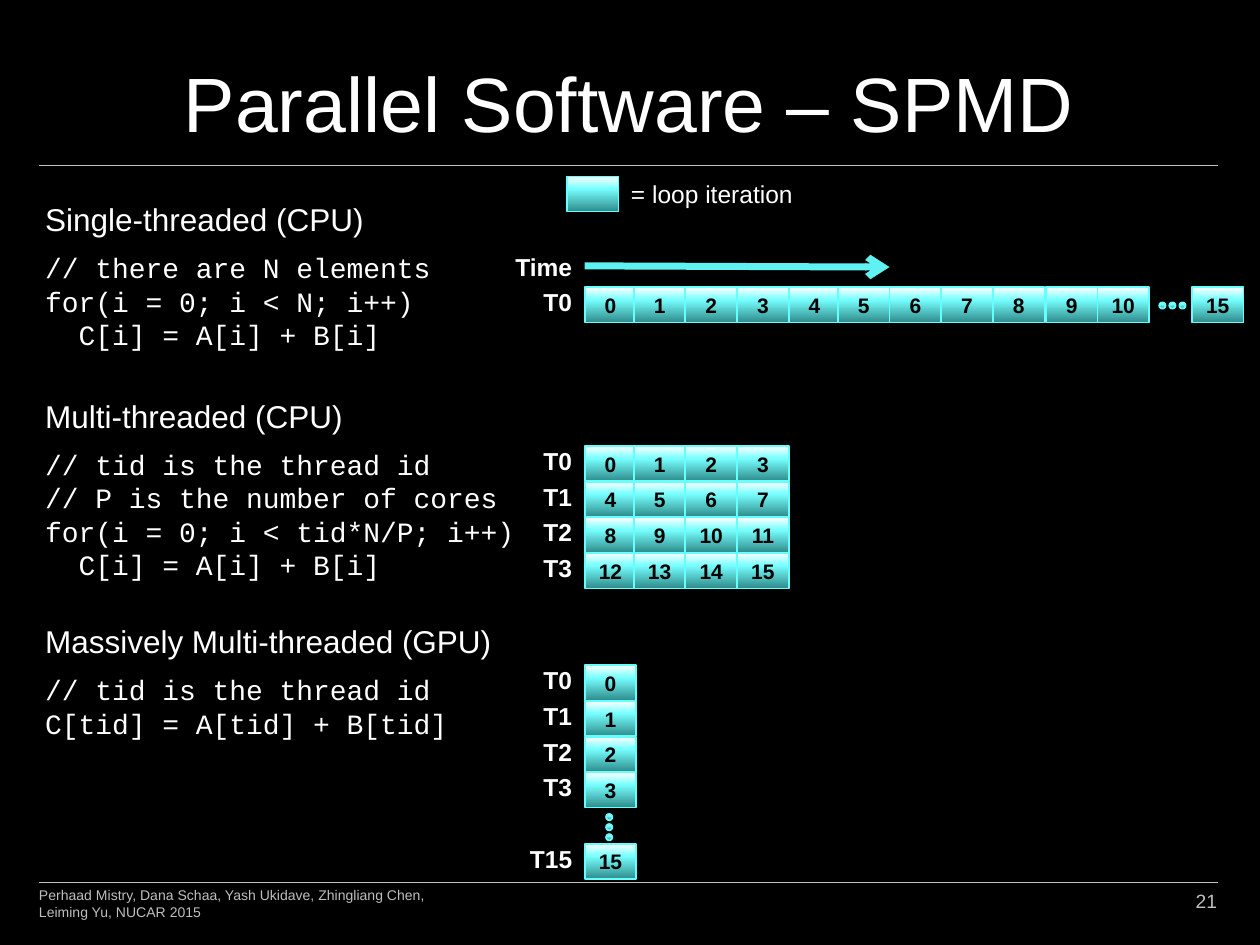
"""Build the SPMD slide: loop code beside diagrams of iterations per thread."""
from copy import deepcopy

from pptx import Presentation
from pptx.dml.color import RGBColor
from pptx.enum import shapes, text
from pptx.oxml import ns, xmlchemy
from pptx.util import Inches, Pt

BLACK = RGBColor(0x00, 0x00, 0x00)
WHITE = RGBColor(0xFF, 0xFF, 0xFF)
GRAY = RGBColor(0xBF, 0xBF, 0xBF)
CYAN = RGBColor(0x66, 0xFF, 0xFF)
GRADIENT = [(0, RGBColor(0x2E, 0x8B, 0x8B)), (0.65, RGBColor(0x78, 0xFF, 0xFF)), (1, WHITE)]

LEFT = 4.64
CELL_W, CELL_H = 0.41, 0.28
DOT, DOT_STEP = 0.05, 0.08
ROW_STEP = 0.85 / 3
COLUMNS = [4.64, 5.03, 5.44, 5.85, 6.26, 6.65, 7.06, 7.47, 7.88, 8.3, 8.71]
SERIAL_TOP, MULTI_TOP, MASSIVE_TOP = 2.28, 3.54, 5.28

prs = Presentation()
prs.slide_width, prs.slide_height = Inches(10), Inches(7.5)
s = prs.slides.add_slide(prs.slide_layouts[5])
s.background.fill.solid()
s.background.fill.fore_color.rgb = BLACK


def add_text(lines, x, y, w, h, size, font="Arial", color=WHITE, bold=False,
             align=text.PP_ALIGN.LEFT, wrap=False):
    """Add a text box with one paragraph per line and return its frame."""
    tf = s.shapes.add_textbox(Inches(x), Inches(y), Inches(w), Inches(h)).text_frame
    tf.word_wrap = wrap
    tf.text = "\n".join(lines)
    for p in tf.paragraphs:
        p.alignment = align
        p.font.size, p.font.name, p.font.bold = Pt(size), font, bold
        p.font.color.rgb = color
    return tf


def add_block(kind, x, y, w, h, label=""):
    """Add a cyan gradient shape, with a bold centred label if given."""
    sp = s.shapes.add_shape(kind, Inches(x), Inches(y), Inches(w), Inches(h))
    sp.shadow.inherit = False
    sp.line.color.rgb = CYAN
    sp.line.width = Pt(1)
    sp.fill.gradient()
    sp.fill.gradient_angle = 90
    stops = sp._element.spPr.find(ns.qn("a:gradFill")).find(ns.qn("a:gsLst"))
    stops.append(deepcopy(stops[0]))
    for stop, (position, color) in zip(sp.fill.gradient_stops, GRADIENT):
        stop.position = position
        stop.color.rgb = color
    if label:
        sp.text_frame.text = label
        sp.text_frame.vertical_anchor = text.MSO_ANCHOR.MIDDLE
        p = sp.text_frame.paragraphs[0]
        p.alignment = text.PP_ALIGN.CENTER
        p.font.size, p.font.name, p.font.bold = Pt(12), "Arial", True
        p.font.color.rgb = BLACK


title = s.shapes.title
title.left, title.top, title.width, title.height = map(Inches, (0.7, 0.12, 8.59, 1.1))
title.text_frame.text = "Parallel Software – SPMD"
title.text_frame.vertical_anchor = text.MSO_ANCHOR.BOTTOM
p = title.text_frame.paragraphs[0]
p.alignment = text.PP_ALIGN.CENTER
p.font.size, p.font.name = Pt(44), "Arial"
p.font.color.rgb = WHITE

for x1, y1, x2, y2, color, width in [
    (0.31, 1.31, 9.67, 1.31, GRAY, 0.25),
    (0.31, 7, 9.67, 7, GRAY, 0.25),
    (LEFT, 2.11, 7.06, 2.12, CYAN, 4),
]:
    line = s.shapes.add_connector(shapes.MSO_CONNECTOR.STRAIGHT, *map(Inches, (x1, y1, x2, y2)))
    line.line.color.rgb = color
    line.line.width = Pt(width)
    line._element.spPr.append(xmlchemy.OxmlElement("a:effectLst"))
ln = line.line._get_or_add_ln()
alpha = xmlchemy.OxmlElement("a:alpha")
alpha.set("val", "95000")
ln.find(ns.qn("a:solidFill"))[0].append(alpha)
tail = xmlchemy.OxmlElement("a:tailEnd")
tail.set("type", "arrow")
ln.append(tail)

credit = add_text(
    ["Perhaad Mistry, Dana Schaa, Yash Ukidave, Zhingliang Chen, Leiming Yu, NUCAR 2015"],
    0.31, 6.95, 3.17, 0.4, 8, color=GRAY, wrap=True)
credit.vertical_anchor = text.MSO_ANCHOR.BOTTOM
number = add_text(["21"], 8.83, 6.95, 0.83, 0.4, 11, color=GRAY,
                  align=text.PP_ALIGN.RIGHT, wrap=True)
number.vertical_anchor = text.MSO_ANCHOR.MIDDLE
for tf in (credit, number):
    tf.margin_left = tf.margin_right = 0

for heading, y, w, code_w, code in [
    ("Single-threaded (CPU)", 1.54, 2.76, 3.3,
     ["// there are N elements", "for(i = 0; i < N; i++)", "  C[i] = A[i] + B[i]"]),
    ("Multi-threaded (CPU)", 3.1, 2.59, 3.97,
     ["// tid is the thread id", "// P is the number of cores",
      "for(i = 0; i < tid*N/P; i++)", "  C[i] = A[i] + B[i]"]),
    ("Massively Multi-threaded (GPU)", 4.89, 3.78, 3.43,
     ["// tid is the thread id", "C[tid] = A[tid] + B[tid]"]),
]:
    add_text([heading], 0.26, y, w, 0.4, 18)
    add_text(code, 0.26, y + 0.4, code_w, 0.1 + 0.27 * len(code), 16, "Courier New")

cells = [(x, SERIAL_TOP, i) for i, x in enumerate(COLUMNS)] + [(9.46, SERIAL_TOP, 15)]
cells += [(COLUMNS[i % 4], MULTI_TOP + i // 4 * ROW_STEP, i) for i in range(16)]
cells += [(LEFT, MASSIVE_TOP + row * ROW_STEP, i)
          for row, i in [(0, 0), (1, 1), (2, 2), (3, 3), (5, 15)]]
for x, y, i in cells:
    add_block(shapes.MSO_SHAPE.RECTANGLE, x, y, CELL_W, CELL_H, str(i))

for i in range(3):
    add_block(shapes.MSO_SHAPE.OVAL, 9.2 + i * DOT_STEP, 2.4, DOT, DOT)
    add_block(shapes.MSO_SHAPE.OVAL, 4.81, 6.46 + i * DOT_STEP, DOT, DOT)

add_block(shapes.MSO_SHAPE.RECTANGLE, 4.5, 1.4, CELL_W, CELL_H)
add_text(["= loop iteration"], 4.91, 1.37, 1.5, 0.34, 14)

labels = [("Time", 1.95, 0.66), ("T0", SERIAL_TOP - 0.05, 0.43),
          ("T15", MASSIVE_TOP + 5 * ROW_STEP - 0.05, 0.54)]
labels += [(f"T{i}", top + i * ROW_STEP - 0.05, 0.43)
           for top in (MULTI_TOP, MASSIVE_TOP) for i in range(4)]
for label, y, w in labels:
    add_text([label], LEFT - w, y, w, 0.34, 14, bold=True, align=text.PP_ALIGN.RIGHT)

prs.save("out.pptx")
